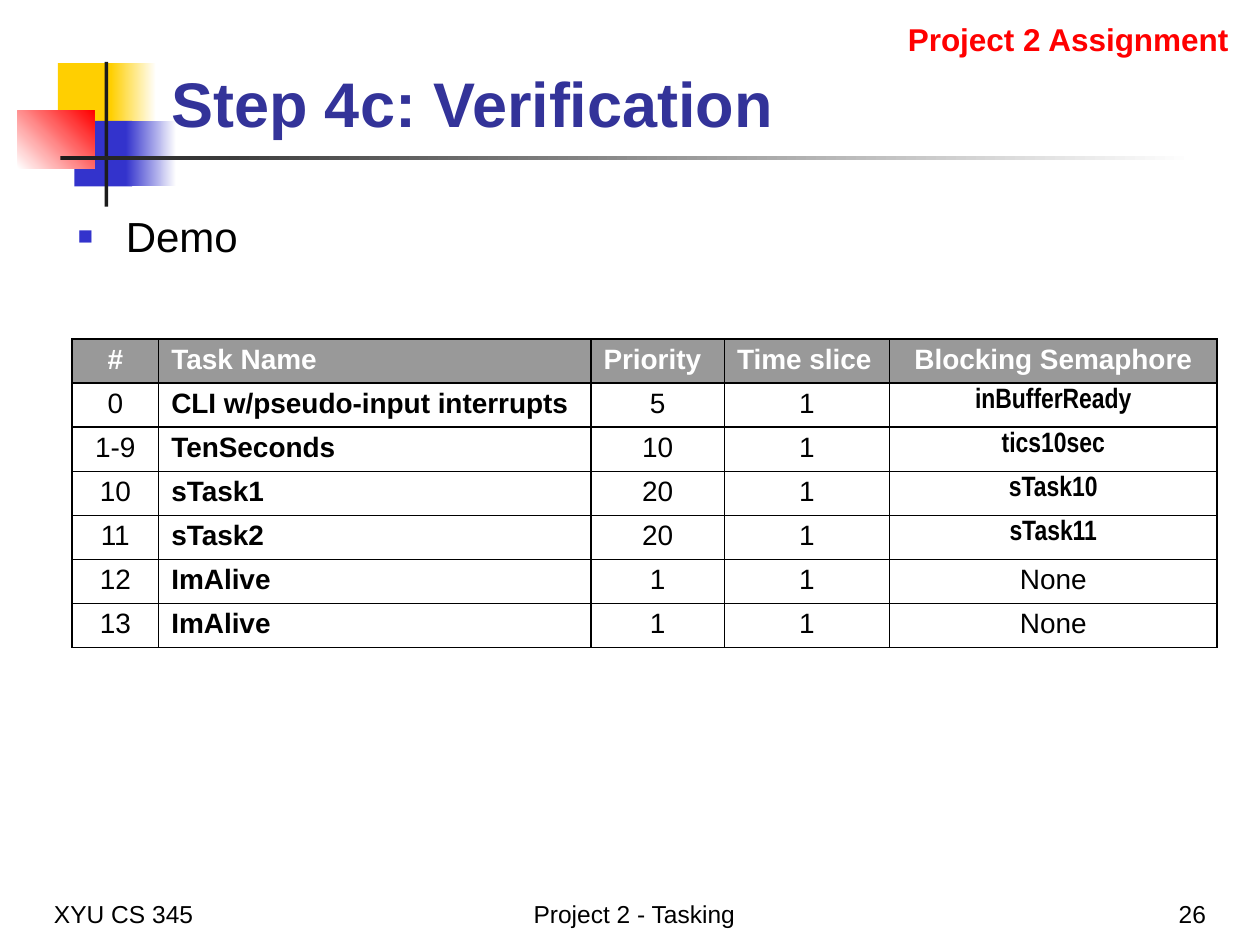
import pptx
import pptx.util
import pptx.dml.color
import pptx.enum.shapes
import pptx.enum.text
import pptx.oxml
import pptx.oxml.ns

Inches = pptx.util.Inches
Pt = pptx.util.Pt
Align = pptx.enum.text.PP_ALIGN
Anchor = pptx.enum.text.MSO_ANCHOR

COLORS = {
    "yellow": "FFCF01",
    "blue": "3333CC",
    "red": "FF0000",
    "title": "333399",
    "dark": "1C1C1C",
    "header": "999999",
    "white": "FFFFFF",
    "black": "000000",
}


def rgb(name):
    return pptx.dml.color.RGBColor.from_string(COLORS[name])


class SlideBuilder:
    font = "Arial"
    narrow_font = "Arial Narrow"

    def __init__(self, page):
        self.page = page

    def block(self, place, *colors, angle=0):
        box = self.page.shapes.add_shape(
            pptx.enum.shapes.MSO_SHAPE.RECTANGLE, *map(Inches, place)
        )
        box.shadow.inherit = False
        box.line.fill.background()
        if len(colors) == 1:
            box.fill.solid()
            box.fill.fore_color.rgb = rgb(colors[0])
            return
        box.fill.gradient()
        box.fill.gradient_angle = angle
        for position, (stop, color) in enumerate(zip(box.fill.gradient_stops, colors)):
            stop.position = position
            stop.color.rgb = rgb(color)

    def add_span(self, para, text, size, color="black", bold=False, font=None):
        span = para.add_run()
        span.text = text
        span.font.name = font or self.font
        span.font.size = Pt(size)
        span.font.bold = bold
        span.font.color.rgb = rgb(color)

    def text(self, place, text, size, align=Align.LEFT, anchor=Anchor.TOP, before=0, **style):
        box = self.page.shapes.add_textbox(*map(Inches, place))
        box.text_frame.word_wrap = True
        box.text_frame.vertical_anchor = anchor
        para = box.text_frame.paragraphs[0]
        para.alignment = align
        para.space_before = Pt(before)
        self.add_span(para, text, size, **style)
        return para

    def bullet(self, place, text, size):
        para = self.text(place, text, size, before=3)
        properties = para._p.get_or_add_pPr()
        properties.set("marL", str(Inches(0.38)))
        properties.set("indent", str(-Inches(0.38)))
        namespace = pptx.oxml.ns.nsdecls("a")
        for xml in (
            f'<a:buClr {namespace}><a:srgbClr val="{COLORS["blue"]}"/></a:buClr>',
            f'<a:buSzPct {namespace} val="60000"/>',
            f'<a:buFont {namespace} typeface="{self.font}"/>',
            f'<a:buChar {namespace} char="■"/>',
        ):
            properties.append(pptx.oxml.parse_xml(xml))

    def border(self, cell):
        properties = cell._tc.get_or_add_tcPr()
        namespace = pptx.oxml.ns.nsdecls("a")
        for index, side in enumerate(("lnL", "lnR", "lnT", "lnB")):
            line = pptx.oxml.parse_xml(
                f'<a:{side} {namespace} w="{Pt(1)}"><a:solidFill>'
                f'<a:srgbClr val="{COLORS["black"]}"/></a:solidFill></a:{side}>'
            )
            properties.insert(index, line)

    def table(self, left, top, widths, row_height, rows):
        frame = self.page.shapes.add_table(
            len(rows), len(widths), Inches(left), Inches(top),
            Inches(sum(widths)), Inches(row_height * len(rows)),
        )
        grid = frame.table
        for column, width in zip(grid.columns, widths):
            column.width = Inches(width)
        for row_index, values in enumerate(rows):
            grid.rows[row_index].height = Inches(row_height)
            for column_index, value in enumerate(values):
                self.cell(grid.cell(row_index, column_index), value, row_index, column_index)

    def cell(self, cell, value, row_index, column_index):
        is_header = row_index == 0
        is_semaphore = not is_header and column_index == 4 and value != "None"
        left_columns = (1, 2, 3) if is_header else (1,)
        cell.margin_top = cell.margin_bottom = Inches(0.04)
        if is_header:
            cell.fill.solid()
            cell.fill.fore_color.rgb = rgb("header")
        else:
            cell.fill.background()
        self.border(cell)
        para = cell.text_frame.paragraphs[0]
        para.alignment = Align.LEFT if column_index in left_columns else Align.CENTER
        self.add_span(
            para, value, 16,
            color="white" if is_header else "black",
            bold=is_header or column_index == 1 or is_semaphore,
            font=self.narrow_font if is_semaphore else self.font,
        )


def main():
    deck = pptx.Presentation()
    deck.slide_width = Inches(10)
    deck.slide_height = Inches(7.5)
    slide = SlideBuilder(deck.slides.add_slide(deck.slide_layouts[6]))

    slide.block((0.46, 0.5, 0.48, 0.52), "yellow")
    slide.block((0.88, 0.5, 0.36, 0.52), "yellow", "white")
    slide.block((0.59, 0.96, 0.46, 0.52), "blue")
    slide.block((1, 0.96, 0.4, 0.52), "blue", "white")
    slide.block((0.14, 0.88, 0.61, 0.46), "white", "red", angle=45)
    slide.block((0.83, 0.49, 0.03, 1.15), "dark")
    slide.block((0.48, 1.24, 9, 0.03), "dark", "white")

    slide.text((1.26, 0.21, 8.65, 0.95), "Step 4c: Verification", 36,
               anchor=Anchor.BOTTOM, color="title", bold=True)
    slide.bullet((0.52, 1.62, 8.81, 2.78), "Demo", 24)
    for left, width, text, align in (
        (0.33, 2.08, "XYU CS 345", Align.LEFT),
        (2.35, 5.37, "Project 2 - Tasking", Align.CENTER),
        (7.59, 2.08, "26", Align.RIGHT),
    ):
        slide.text((left, 6.92, width, 0.5), text, 14, align, Anchor.BOTTOM)

    tasks = [
        ("#", "Task Name", "Priority", "Time slice", "Blocking Semaphore"),
        ("0", "CLI w/pseudo-input interrupts", "5", "1", "inBufferReady"),
        ("1-9", "TenSeconds", "10", "1", "tics10sec"),
        ("10", "sTask1", "20", "1", "sTask10"),
        ("11", "sTask2", "20", "1", "sTask11"),
        ("12", "ImAlive", "1", "1", "None"),
        ("13", "ImAlive", "1", "1", "None"),
    ]
    slide.table(0.57, 2.69, (0.69, 3.43, 1.06, 1.31, 2.6), 0.35, tasks)
    slide.text((5.98, 0.11, 3.87, 0.4), "Project 2 Assignment", 18,
               Align.RIGHT, before=2, color="red", bold=True)

    deck.save("out.pptx")


if __name__ == "__main__":
    main()
